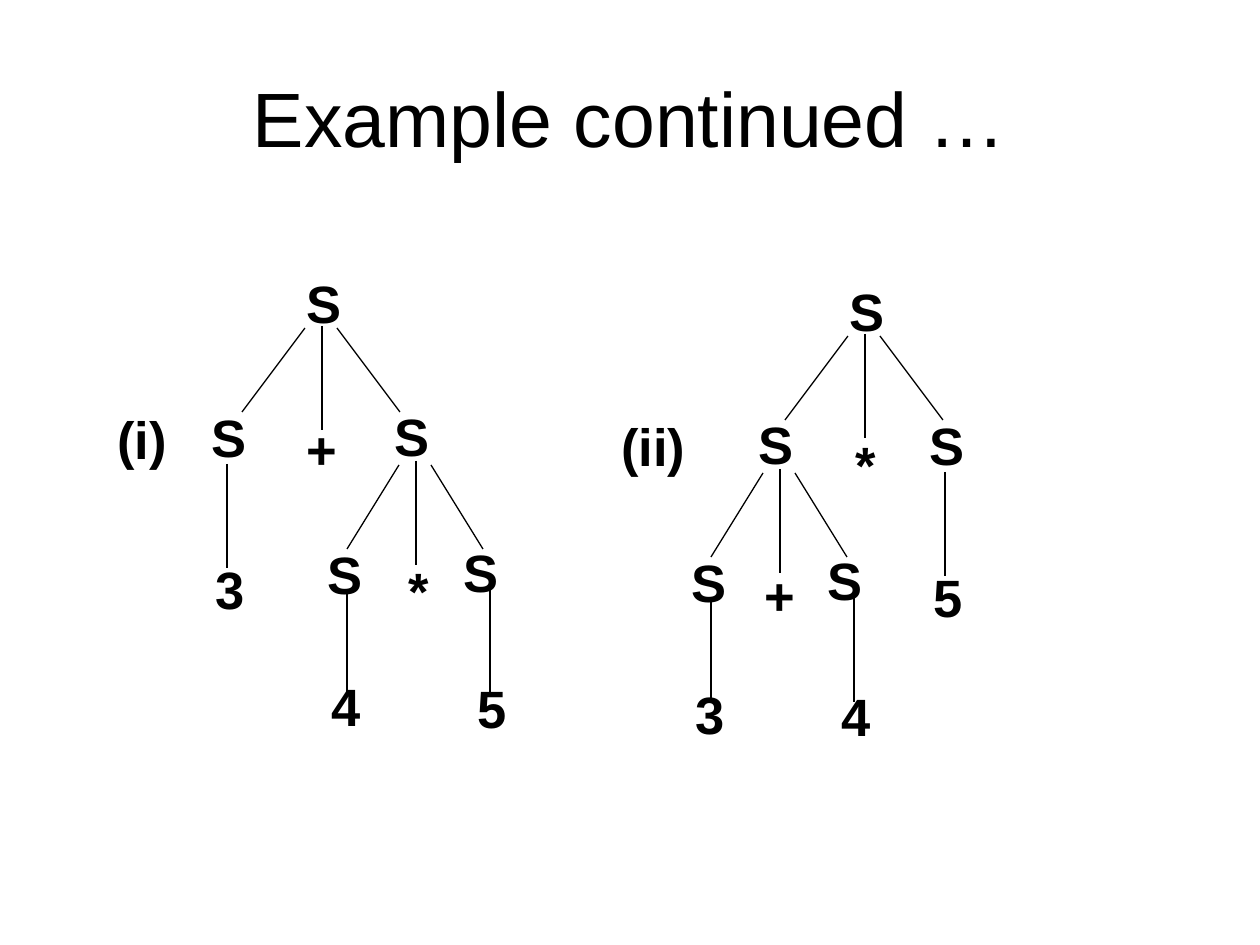
from lxml.etree import SubElement
from pptx import Presentation
from pptx.dml.color import RGBColor
from pptx.enum.shapes import MSO_CONNECTOR
from pptx.enum.text import MSO_ANCHOR, MSO_AUTO_SIZE, PP_ALIGN
from pptx.oxml.ns import qn
from pptx.util import Emu, Pt

COLORS = {"ink": "000000", "paper": "FFFFFF"}
FONT = "Arial"


def px(n):
    return Emu(round(n * 914400 / 126))


def color(name):
    return RGBColor.from_string(COLORS[name])


def write(frame, text, size=30, bold=True, align=PP_ALIGN.LEFT,
          anchor=MSO_ANCHOR.TOP, fit=MSO_AUTO_SIZE.SHAPE_TO_FIT_TEXT):
    frame.word_wrap = True
    frame.auto_size = fit
    frame.vertical_anchor = anchor
    par = frame.paragraphs[0]
    par.alignment = align
    run = par.add_run()
    run.text = text
    font = run.font
    font.name, font.size, font.bold = FONT, Pt(size), bold
    font.color.rgb = color("ink")


class Sketch:
    def __init__(self, slide):
        self.slide = slide
        self.group = None
        self.width = Pt(0.75)
        fill = slide.background.fill
        fill.solid()
        fill.fore_color.rgb = color("paper")

    def title(self, text):
        shape = self.slide.shapes.title
        shape.left, shape.top = px(63), px(38)
        shape.width, shape.height = px(1134), px(158)
        write(shape.text_frame, text, size=44, bold=False,
              align=PP_ALIGN.CENTER, anchor=MSO_ANCHOR.MIDDLE,
              fit=MSO_AUTO_SIZE.NONE)

    def start(self):
        self.group = self.slide.shapes.add_group_shape()

    def label(self, text, x, y, wide=116):
        box = self.group.shapes.add_textbox(px(x), px(y), px(wide), px(76))
        write(box.text_frame, text)

    def line(self, x1, y1, x2, y2):
        link = self.group.shapes.add_connector(
            MSO_CONNECTOR.STRAIGHT, px(x1), px(y1), px(x2), px(y2))
        link.line.color.rgb = color("ink")
        link.line.width = self.width
        SubElement(link.element.spPr, qn("a:effectLst"))

    def stem(self, x, y):
        self.line(x, y, x, y + 104)

    def fan(self, x, y, spread, drop):
        """Three branches; x, y is where the left one starts."""
        self.line(x, y, x - spread, y + 84)
        self.line(x + 32, y, x + 32 + spread, y + 84)
        self.stem(x + 17, y - drop)

    def root(self, x, y):
        self.label("S", x, y)
        self.fan(x + 11, y + 63, spread=63, drop=2)

    def leaf(self, x, y, digit):
        """A single S above its digit."""
        self.label("S", x, y)
        self.stem(x + 28, y + 65)
        self.label(digit, x + 4, y + 152, wide=168)

    def branch(self, x, y, left, right):
        """An S that splits into two further S nodes, each with a digit."""
        self.label("S", x, y)
        self.fan(x + 17, y + 67, spread=52, drop=4)
        self.label("S", x - 67, y + 138)
        self.label("S", x + 69, y + 136)
        self.stem(x - 35, y + 193)
        self.stem(x + 108, y + 192)
        self.label(left, x - 63, y + 270, wide=168)
        self.label(right, x + 83, y + 272, wide=168)


def main():
    deck = Presentation()
    deck.slide_width, deck.slide_height = px(1260), px(945)
    art = Sketch(deck.slides.add_slide(deck.slide_layouts[5]))
    art.title("Example continued …")

    # Tree (i): 3 + (4 * 5)
    art.start()
    art.label("(i)", 105, 401, wide=168)
    art.root(294, 265)
    art.leaf(199, 399, "3")
    art.label("+", 294, 411)
    art.branch(382, 398, "4", "5")
    art.label("*", 396, 552)

    # Tree (ii): (3 + 4) * 5
    art.start()
    art.label("(ii)", 609, 408, wide=168)
    art.root(837, 273)
    art.branch(746, 406, "3", "4")
    art.label("+", 752, 557)
    art.label("*", 843, 426)
    art.leaf(917, 407, "5")

    deck.save("out.pptx")


if __name__ == "__main__":
    main()
